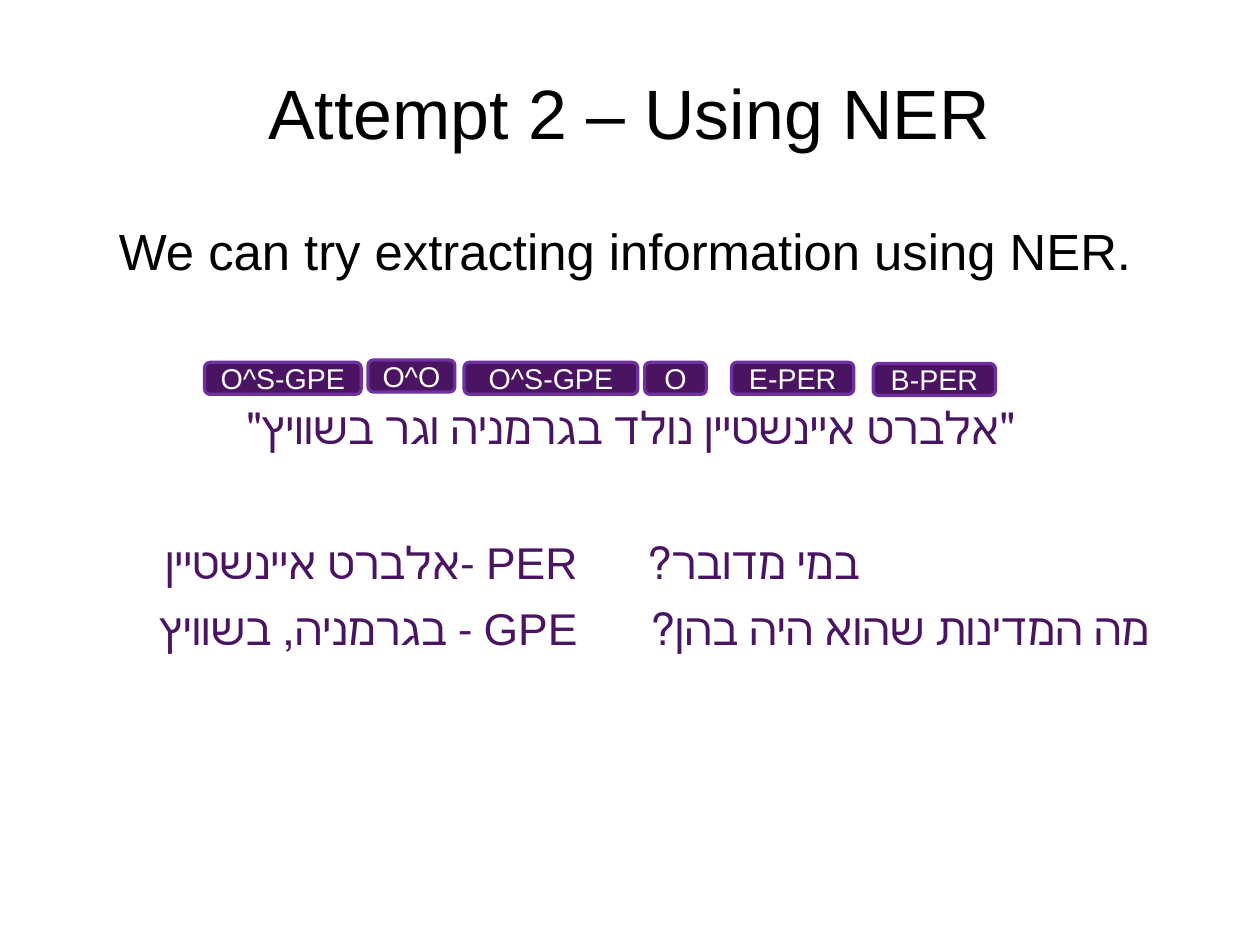
from pptx import Presentation
from pptx.dml.color import RGBColor
from pptx.enum.shapes import MSO_SHAPE
from pptx.enum.text import MSO_ANCHOR, MSO_AUTO_SIZE, PP_ALIGN
from pptx.util import Inches, Pt

BLACK = RGBColor(0x00, 0x00, 0x00)
WHITE = RGBColor(0xFF, 0xFF, 0xFF)
PLUM = RGBColor(0x4B, 0x14, 0x63)
VIOLET = RGBColor(0x70, 0x30, 0xA0)
CM_PER_INCH = 2.54

HEBREW_LINES = [
    ("״אלברט איינשטיין נולד בגרמניה וגר בשוויץ״", 1.73, 3.45, 7.57, PP_ALIGN.CENTER),
    ("מה המדינות שהוא היה בהן?", 5.39, 5.21, 4.96, PP_ALIGN.CENTER),
    ("במי מדובר?", 4.99, 4.63, 3.2, PP_ALIGN.CENTER),
    ("PER -אלברט איינשטיין", 1.22, 4.63, 3.93, PP_ALIGN.RIGHT),
    ("GPE - בגרמניה, בשוויץ", 1.09, 5.21, 4.06, PP_ALIGN.RIGHT),
]
ENTITY_TAGS = [
    ("B-PER", 7.64, 3.18, 1.07),
    ("E-PER", 6.4, 3.17, 1.07),
    ("O^S-GPE", 4.06, 3.17, 1.52),
    ("O^S-GPE", 1.79, 3.17, 1.37),
    ("O", 5.64, 3.17, 0.54),
    ("O^O", 3.22, 3.15, 0.76),
]


def write(frame, text, size, color, align=PP_ALIGN.CENTER, rtl=True,
          anchor=MSO_ANCHOR.TOP, margin=None, spacing=None):
    """Put one formatted paragraph into a text frame."""
    frame.word_wrap = True
    frame.vertical_anchor = anchor
    if margin is not None:
        frame.margin_left = frame.margin_right = Inches(margin)
        frame.margin_top = frame.margin_bottom = Inches(margin)
    para = frame.paragraphs[0]
    para.alignment = align
    para.line_spacing = spacing
    if rtl:
        para._p.get_or_add_pPr().set("rtl", "1")
    span = para.add_run()
    span.text = text
    span.font.name = "Arial"
    span.font.size = Pt(size)
    span.font.color.rgb = color


def add_title(page, text):
    """Place and fill the title placeholder."""
    title = page.shapes.title
    title.left, title.top = Inches(0.55), Inches(0.33)
    title.width, title.height = Inches(9.92), Inches(1.38)
    write(title.text_frame, text, 44, BLACK, anchor=MSO_ANCHOR.MIDDLE,
          margin=0, spacing=0.9)


def add_text(page, text, left, top, width, height, **text_format):
    """Add a text box and return its frame."""
    box = page.shapes.add_textbox(Inches(left), Inches(top), Inches(width), Inches(height))
    write(box.text_frame, text, **text_format)
    return box.text_frame


def add_tag(page, text, left, top, width):
    """Add a rounded entity label."""
    tag = page.shapes.add_shape(MSO_SHAPE.ROUNDED_RECTANGLE, Inches(left), Inches(top),
                                Inches(width), Inches(0.28))
    tag.shadow.inherit = False
    tag.fill.solid()
    tag.fill.fore_color.rgb = PLUM
    tag.line.color.rgb = VIOLET
    tag.line.width = Pt(2)
    write(tag.text_frame, text, 18, WHITE, anchor=MSO_ANCHOR.MIDDLE)


def main():
    """Build the slide and save the deck."""
    deck = Presentation()
    deck.slide_width = Inches(28 / CM_PER_INCH)
    deck.slide_height = Inches(21 / CM_PER_INCH)
    page = deck.slides.add_slide(deck.slide_layouts[5])
    add_title(page, "Attempt 2 – Using NER")
    add_text(page, "We can try extracting information using NER.", 1.04, 1.92, 9.33, 4.79,
             size=32, color=BLACK, align=PP_ALIGN.LEFT, rtl=False, margin=0)
    for text, left, top, width, align in HEBREW_LINES:
        frame = add_text(page, text, left, top, width, 0.57, size=28, color=PLUM, align=align)
        frame.auto_size = MSO_AUTO_SIZE.SHAPE_TO_FIT_TEXT
    for tag in ENTITY_TAGS:
        add_tag(page, *tag)
    deck.save("out.pptx")


if __name__ == "__main__":
    main()
